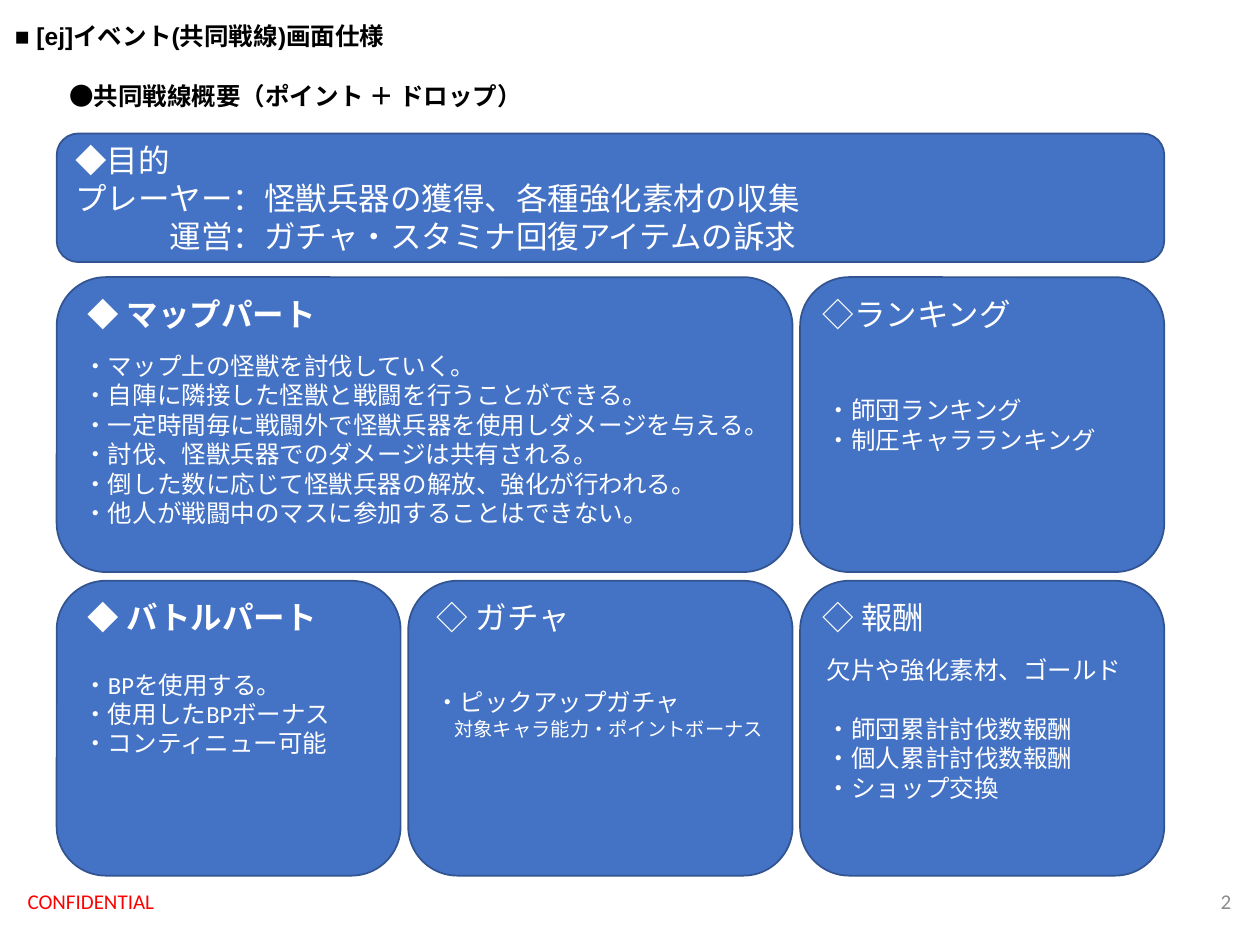
from pptx import Presentation
from pptx import util as u
from pptx.dml.color import RGBColor
from pptx.enum import shapes, text

HUES = {"card": "4472C4", "edge": "325491", "white": "FFFFFF",
        "black": "000000", "red": "FF0000", "grey": "8C8C8C"}
COLS = [(0.45, 2.73), (3.24, 3.05), (6.35, 2.89)]   # left, width
ROWS = [(1.06, 1.02), (2.2, 2.34), (4.61, 2.34)]    # top, height
HEADS = [0.15, 0.13, 0.08]                          # heading inset by column
LINE = 0.23                                         # one line of 14 pt text
PAD = 0.05

# row, first column, last column, heading, lines, blank lines above and below
CARDS = [
    (1, 0, 1, "◆ マップパート",
     ["・マップ上の怪獣を討伐していく。",
      "・自陣に隣接した怪獣と戦闘を行うことができる。",
      "・一定時間毎に戦闘外で怪獣兵器を使用しダメージを与える。",
      "・討伐、怪獣兵器でのダメージは共有される。",
      "・倒した数に応じて怪獣兵器の解放、強化が行われる。",
      "・他人が戦闘中のマスに参加することはできない。"], 1, 0),
    (1, 2, 2, "◇ランキング",
     ["・師団ランキング", "・制圧キャラランキング"], 0, 0),
    (2, 0, 0, "◆ バトルパート",
     ["・BPを使用する。", "・使用したBPボーナス", "・コンティニュー可能"], 0, 1),
    (2, 1, 1, "◇ ガチャ",
     ["・ピックアップガチャ", "対象キャラ能力・ポイントボーナス"], 0, 1),
    (2, 2, 2, "◇ 報酬",
     ["欠片や強化素材、ゴールド", "・師団累計討伐数報酬",
      "・個人累計討伐数報酬", "・ショップ交換"], 0, 0),
]


def area(row, first, last):
    """Box of a row between two columns, as left, top, width, height."""
    left, (end, wide) = COLS[first][0], COLS[last]
    top, high = ROWS[row]
    return left, top, end + wide - left, high


def style(para, size, hue, bold=False, face="Calibri"):
    for run in para.runs:
        font = run.font
        font.size, font.bold, font.name = u.Pt(size), bold, face
        font.color.rgb = RGBColor.from_string(HUES[hue])


def indent(para, size):
    para._p.get_or_add_pPr().set("marL", str(u.Pt(size)))


def label(slide, box, words, size, hue, bold=False, face="Calibri",
          side=text.PP_ALIGN.LEFT, anchor=text.MSO_ANCHOR.TOP):
    frame = slide.shapes.add_textbox(*map(u.Inches, box)).text_frame
    frame.word_wrap = True
    frame.vertical_anchor = anchor
    frame.text = words
    para = frame.paragraphs[0]
    para.alignment = side
    style(para, size, hue, bold, face)


def panel(slide, box, lines, size):
    """Rounded box with left-aligned lines; returns its text frame."""
    shape = slide.shapes.add_shape(
        shapes.MSO_SHAPE.ROUNDED_RECTANGLE, *map(u.Inches, box))
    shape.shadow.inherit = False
    shape.fill.solid()
    shape.fill.fore_color.rgb = RGBColor.from_string(HUES["card"])
    shape.line.color.rgb = RGBColor.from_string(HUES["edge"])
    shape.line.width = u.Pt(1)
    frame = shape.text_frame
    frame.word_wrap = True
    frame.vertical_anchor = text.MSO_ANCHOR.MIDDLE
    frame.text = "\n".join(lines)
    for para in frame.paragraphs:
        para.alignment = text.PP_ALIGN.LEFT
        style(para, size, "white")
    return frame


def goal(slide, box):
    frame = panel(slide, box, ["◆", "プレーヤー：怪獣兵器の獲得、各種強化素材の収集",
                               "運営：ガチャ・スタミナ回復アイテムの訴求"], 18)
    first, _, last = frame.paragraphs
    first.add_run().text = "目的"
    style(first, 18, "white")
    first.runs[0].font.bold = True
    indent(last, 3 * 18)


def card(slide, box, inset, head, lines, above, below):
    frame = panel(slide, box, lines, 14)
    frame.margin_top = u.Inches(PAD + above * LINE)
    frame.margin_bottom = u.Inches(PAD + below * LINE)
    for para in frame.paragraphs:
        if para.text.startswith("対象"):
            style(para, 11, "white")
            indent(para, 11)
        elif para.text.startswith("・師団累計"):
            para.space_before = u.Pt(17)
    left, top = box[:2]
    label(slide, (left + inset, top + 0.09, 2.14, 0.4), head, 18, "white",
          head.startswith("◆"))


def header(slide, left, top):
    label(slide, (left, top, 3.3, 0.34), "■ [ej]イベント(共同戦線)画面仕様",
          14, "black", True, "Arial")
    label(slide, (left + 0.43, top + 0.47, 3.82, 0.34),
          "●共同戦線概要（ポイント ＋ ドロップ）", 14, "black", True)


def footer(slide, top, high):
    mid = text.MSO_ANCHOR.MIDDLE
    label(slide, (0.12, top, 3.38, high), "CONFIDENTIAL", 12, "red", anchor=mid)
    label(slide, (7.62, top, 2.25, high), "2", 12, "grey",
          side=text.PP_ALIGN.RIGHT, anchor=mid)


def main():
    deck = Presentation()
    deck.slide_width, deck.slide_height = u.Inches(10), u.Inches(7.5)
    slide = deck.slides.add_slide(deck.slide_layouts[6])
    header(slide, 0.02, 0.12)
    goal(slide, area(0, 0, 2))
    for row, first, last, *rest in CARDS:
        card(slide, area(row, first, last), HEADS[first], *rest)
    footer(slide, 6.95, 0.4)
    deck.save("out.pptx")


if __name__ == "__main__":
    main()
